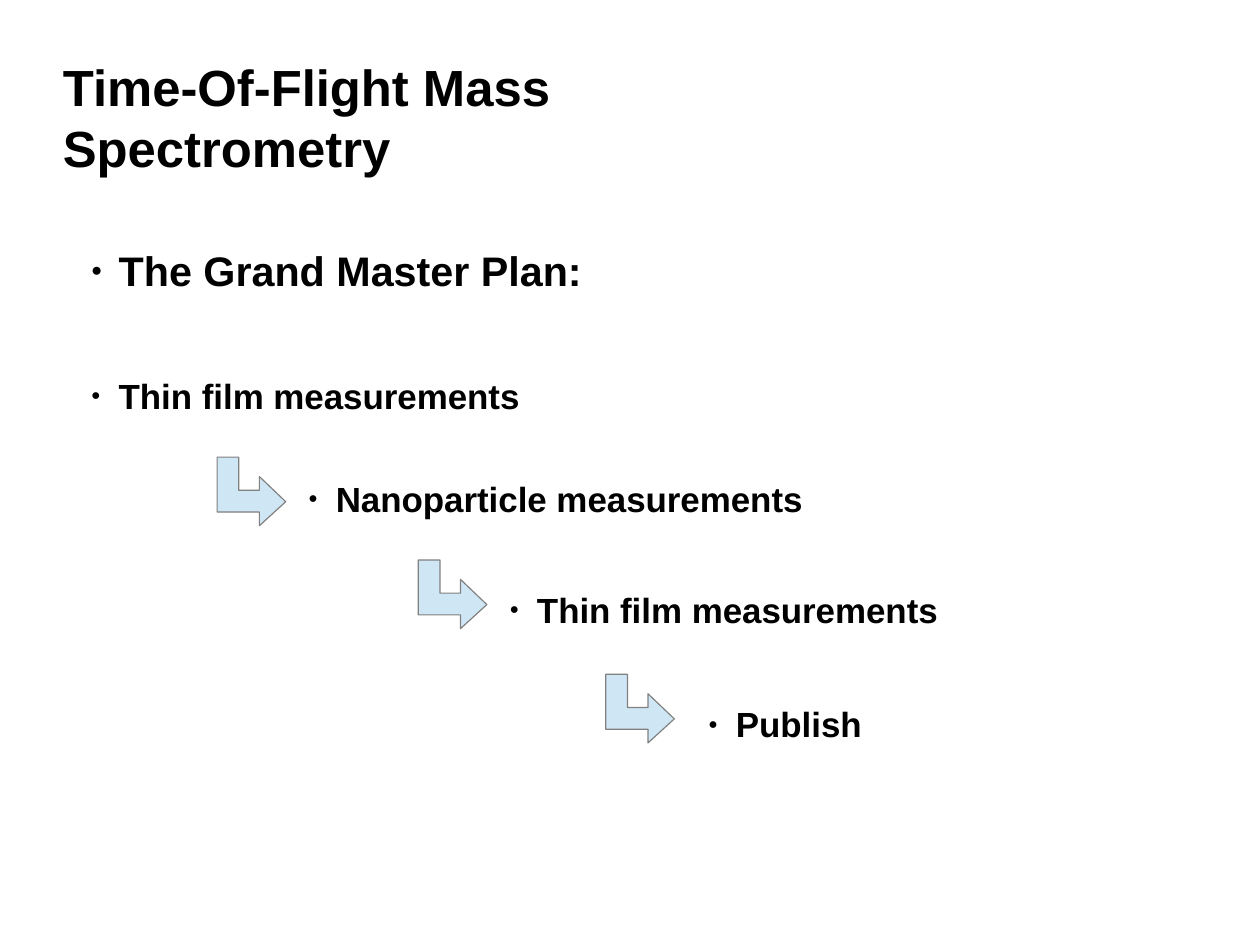
from lxml.etree import SubElement
from pptx import Presentation
from pptx.dml.color import RGBColor
from pptx.enum.text import MSO_ANCHOR
from pptx.oxml.ns import qn
from pptx.util import Inches, Pt

CENTIMETRES_PER_INCH = 2.54
FONT = "Arial"
COLORS = {"text": "000000", "arrow": "CFE7F5", "outline": "808080"}
ARROW_OUTLINE = [
    (0.37, 0.17), (0.37, 0.29), (0.19, 0.29), (0.19, 0), (0, 0),
    (0, 0.48), (0.37, 0.48), (0.37, 0.6), (0.6, 0.39),
]
PLAN_ITEMS = [
    ("The Grand Master Plan:", 0.7, 2.1, 5.8, 0.5, 26),
    ("Thin film measurements", 0.7, 3.23, 5.8, 0.44, 22),
    ("Nanoparticle measurements", 2.6, 4.13, 5.5, 0.44, 22),
    ("Thin film measurements", 4.36, 5.1, 4.3, 0.44, 22),
    ("Publish", 6.1, 6.1, 1.9, 0.44, 22),
]
ARROW_POSITIONS = [(1.9, 4), (3.66, 4.9), (5.3, 5.9)]


def color(name):
    return RGBColor.from_string(COLORS[name])


def write_text(para, text, size=22, bold=True, fill="text", font=FONT):
    for index, line in enumerate(text.split("\n")):
        if index:
            para.add_line_break()
        span = para.add_run()
        span.text = line
        span.font.name = font
        span.font.size = Pt(size)
        span.font.bold = bold
        span.font.color.rgb = color(fill)


def add_bullet(para, indent=0.24, percent=45):
    properties = para._p.get_or_add_pPr()
    properties.set("marL", str(Inches(indent)))
    properties.set("indent", str(-Inches(indent)))
    bullet_color = SubElement(properties, qn("a:buClr"))
    SubElement(bullet_color, qn("a:srgbClr"), val=COLORS["text"])
    SubElement(properties, qn("a:buSzPct"), val=str(percent * 1000))
    SubElement(properties, qn("a:buFont"), typeface=FONT)
    SubElement(properties, qn("a:buChar"), char="●")


class PlanSlide:
    def __init__(self, deck):
        self.page = deck.slides.add_slide(deck.slide_layouts[6])

    def add_box(self, left, top, width, height, margins=(0.1, 0.05)):
        box = self.page.shapes.add_textbox(
            Inches(left), Inches(top), Inches(width), Inches(height))
        frame = box.text_frame
        frame.word_wrap = True
        frame.margin_left = frame.margin_right = Inches(margins[0])
        frame.margin_top = frame.margin_bottom = Inches(margins[1])
        return frame

    def add_title(self, text):
        frame = self.add_box(0.55, 0.33, 9.92, 1.38, margins=(0, 0))
        frame.vertical_anchor = MSO_ANCHOR.MIDDLE
        write_text(frame.paragraphs[0], text, size=32)

    def add_item(self, text, left, top, width, height, size):
        para = self.add_box(left, top, width, height).paragraphs[0]
        add_bullet(para)
        write_text(para, text, size=size)

    def add_arrow(self, left, top):
        points = [(Inches(left + x), Inches(top + y)) for x, y in ARROW_OUTLINE]
        builder = self.page.shapes.build_freeform(*points[0])
        builder.add_line_segments(points[1:], close=True)
        arrow = builder.convert_to_shape()
        arrow.shadow.inherit = False
        arrow.fill.solid()
        arrow.fill.fore_color.rgb = color("arrow")
        arrow.line.color.rgb = color("outline")
        arrow.line.width = Pt(0)


def main():
    deck = Presentation()
    deck.slide_width = Inches(28 / CENTIMETRES_PER_INCH)
    deck.slide_height = Inches(21 / CENTIMETRES_PER_INCH)
    slide = PlanSlide(deck)
    slide.add_title("Time-Of-Flight Mass\nSpectrometry")
    for item in PLAN_ITEMS:
        slide.add_item(*item)
    for position in ARROW_POSITIONS:
        slide.add_arrow(*position)
    deck.save("out.pptx")


if __name__ == "__main__":
    main()
